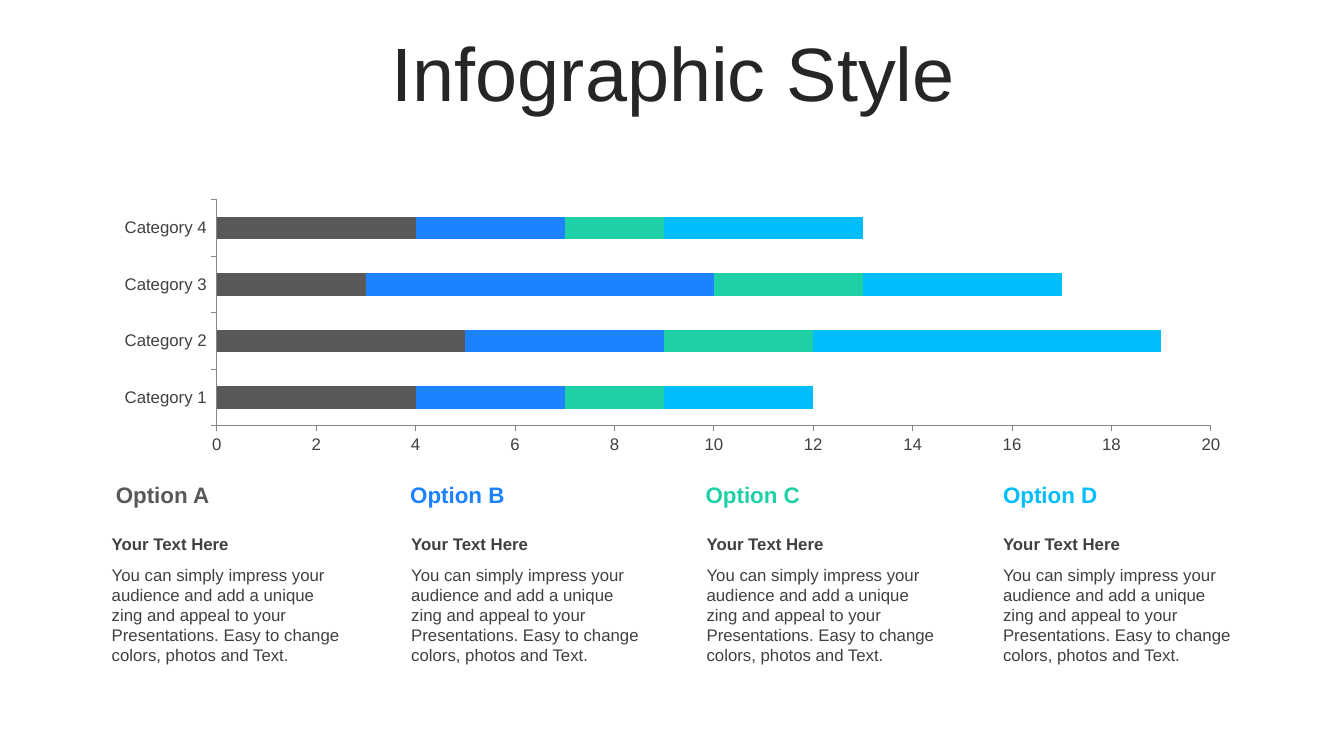
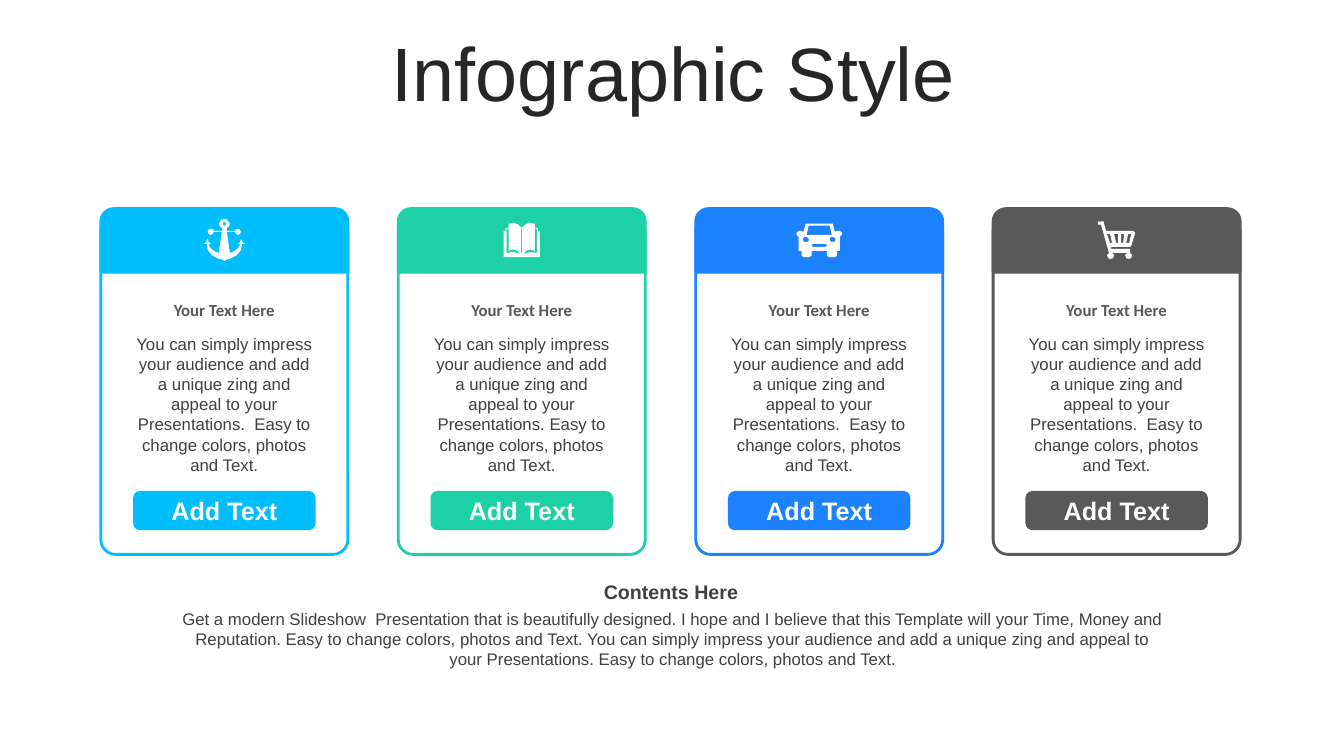
from pptx import Presentation
from pptx.chart.data import CategoryChartData
from pptx.dml.color import RGBColor
from pptx.enum.chart import XL_CHART_TYPE, XL_TICK_MARK
from pptx.enum.shapes import MSO_SHAPE
from pptx.enum.text import MSO_ANCHOR, MSO_AUTO_SIZE, PP_ALIGN
from pptx.util import Inches, Pt

GRAY = RGBColor(0x59, 0x59, 0x59)
BLUE = RGBColor(0x1C, 0x82, 0xFF)
GREEN = RGBColor(0x1E, 0xD0, 0xA6)
CYAN = RGBColor(0x00, 0xBD, 0xFB)
WHITE = RGBColor(0xFF, 0xFF, 0xFF)
TITLE_COLOR = RGBColor(0x26, 0x26, 0x26)
TEXT_COLOR = RGBColor(0x40, 0x40, 0x40)
AXIS_COLOR = RGBColor(0x86, 0x86, 0x86)
FONT = "Arial"

SUBHEAD = "Your Text Here"
PITCH = "You can simply impress your audience and add a unique zing and appeal to your Presentations."
CHANGE = "Easy to change colors, photos and Text."
CONTENTS = (
    "Get a modern Slideshow  Presentation that is beautifully designed. I hope and I believe "
    f"that this Template will your Time, Money and Reputation. {CHANGE} {PITCH} {CHANGE}"
)

CATEGORIES = ["Category 1", "Category 2", "Category 3", "Category 4"]
SERIES = [
    ("Series 1", (4, 5, 3, 4), GRAY),
    ("Series 2", (3, 4, 7, 3), BLUE),
    ("Series 3", (2, 3, 3, 2), GREEN),
    ("Series 4", (3, 7, 4, 4), CYAN),
]
OPTIONS = [
    ("Option A", GRAY, 1.05, 1.01),
    ("Option B", BLUE, 3.97, 3.98),
    ("Option C", GREEN, 6.9, 6.91),
    ("Option D", CYAN, 9.85, 9.85),
]


def flipped(points):
    return [(-x, y) for x, y in reversed(points)]


def symmetric(points):
    return points + flipped(points)


def both_sides(points):
    return [points, flipped(points)]


ANCHOR = [
    symmetric([
        (0, 0), (3, 1), (5.5, 5), (4.5, 7.5), (2.5, 9), (2.5, 12), (10.5, 12), (11.5, 10.5),
        (13.5, 10), (15.5, 11), (16.5, 13), (15.5, 15), (13.5, 16), (11.5, 15), (10.5, 13),
        (2.5, 13), (5.5, 34), (11, 31.5), (14.5, 28), (15.5, 25), (13.5, 25), (15.5, 23),
        (16.5, 20), (18, 23), (20.5, 25), (17.5, 25), (16.5, 31), (12, 36.5), (5, 40),
        (2, 40.5), (0, 42),
    ]),
    symmetric([(0, 3), (1.5, 4), (1.5, 6), (0, 7)]),
]
BOOK = [
    symmetric([
        (0, 5), (4, 1.5), (8, 0), (13, 1), (13, 5), (16, 5), (16, 8), (18, 8), (18, 34), (0, 34),
    ]),
    symmetric([(0, 6), (0.5, 6), (0.5, 30), (0, 30)]),
    *both_sides([
        (13, 6), (15, 6), (15, 30), (9, 29), (1, 31), (5, 27.5), (9, 26.5), (13, 28),
    ]),
]
CAR = [
    symmetric([
        (0, 0), (13.5, 0), (15.5, 8), (17.5, 7), (20.5, 7), (22.5, 9), (22.5, 11), (20.5, 13),
        (19.5, 13), (20.5, 14), (20.5, 27), (17.5, 27), (17.5, 31.5), (16, 33), (9.5, 33),
        (7.5, 31.5), (7.5, 27), (0, 27),
    ]),
    symmetric([(0, 2), (10.5, 2), (12.5, 11), (0, 11)]),
    symmetric([(0, 20), (6, 20), (7.5, 21), (7.5, 22), (6, 23), (0, 23)]),
    *both_sides([
        (12, 13), (14.5, 13), (16, 14.5), (16, 17), (14.5, 18), (12, 18), (10.5, 17), (10.5, 14.5),
    ]),
]
CART = [
    [
        (-18.5, 1), (-13, 0.5), (-10.5, 10), (16.5, 10), (18.5, 12), (14.5, 25), (13, 26),
        (-5.5, 26), (-5.5, 28), (13.5, 28), (13.5, 32), (15.5, 34), (14.5, 37), (12, 38),
        (9.5, 37), (8.5, 34), (10.5, 32), (-4.5, 32), (-2.5, 34), (-3.5, 37), (-6, 38),
        (-8.5, 37), (-9.5, 34), (-7.5, 32), (-15.5, 4), (-18.5, 4),
    ],
    [(11.5, 13), (9.5, 22), (12.5, 22), (14.5, 13)],
    [(4.5, 13), (4.5, 22), (6.5, 22), (7.5, 13)],
    [(-2.5, 13), (-0.5, 22), (1.5, 22), (1.5, 13)],
    [(-9.5, 13), (-6.5, 22), (-4.5, 22), (-6.5, 13)],
]
CARDS = [
    (CYAN, ANCHOR, 0.1, f"{PITCH}  {CHANGE}"),
    (GREEN, BOOK, 0.14, f"{PITCH} {CHANGE}"),
    (BLUE, CAR, 0.15, f"{PITCH}  {CHANGE}"),
    (GRAY, CART, 0.12, f"{PITCH}  {CHANGE}"),
]


def write(shape, text, size, color, bold=False, align=PP_ALIGN.LEFT, anchor=MSO_ANCHOR.TOP, font=FONT):
    frame = shape.text_frame
    frame.word_wrap = True
    frame.auto_size = MSO_AUTO_SIZE.NONE
    frame.vertical_anchor = anchor
    frame.text = text
    para = frame.paragraphs[0]
    para.alignment = align
    for span in para.runs:
        span.font.name = font
        span.font.size = Pt(size)
        span.font.bold = bold
        span.font.color.rgb = color
    return para


def add_text(page, left, top, width, height, text, size, color, **style):
    box = page.shapes.add_textbox(Inches(left), Inches(top), Inches(width), Inches(height))
    write(box, text, size, color, **style)


def add_panel(page, kind, left, top, width, height, fill, line=None):
    panel = page.shapes.add_shape(kind, Inches(left), Inches(top), Inches(width), Inches(height))
    panel.shadow.inherit = False
    panel.fill.solid()
    panel.fill.fore_color.rgb = fill
    if line is None:
        panel.line.fill.background()
    else:
        panel.line.color.rgb = line
        panel.line.width = Pt(2)
    return panel


def add_icon(page, center, top, contours):
    outlines = [[(x * 10, y * 10) for x, y in contour] for contour in contours]
    builder = page.shapes.build_freeform(*outlines[0][0], scale=Inches(1) / 1000)
    builder.add_line_segments(outlines[0][1:])
    for outline in outlines[1:]:
        builder.move_to(*outline[0])
        builder.add_line_segments(outline[1:])
    icon = builder.convert_to_shape(Inches(center), Inches(top))
    icon.shadow.inherit = False
    icon.fill.solid()
    icon.fill.fore_color.rgb = WHITE
    icon.line.fill.background()


def add_page(deck, heading):
    page = deck.slides.add_slide(deck.slide_layouts[5])
    title = page.shapes.title
    title.left, title.top = Inches(0.35), Inches(0.37)
    title.width, title.height = Inches(12.66), Inches(0.79)
    para = write(title, heading, 54, TITLE_COLOR, align=PP_ALIGN.CENTER, anchor=MSO_ANCHOR.MIDDLE)
    para.line_spacing = 0.9
    para.space_before = Pt(10)
    return page


def style_axis(axis):
    axis.has_major_gridlines = False
    axis.major_tick_mark = XL_TICK_MARK.OUTSIDE
    axis.minor_tick_mark = XL_TICK_MARK.NONE
    axis.format.line.color.rgb = AXIS_COLOR
    axis.tick_labels.font.name = FONT
    axis.tick_labels.font.size = Pt(12)
    axis.tick_labels.font.color.rgb = TEXT_COLOR


def add_stacked_bars(page, left, top, width, height):
    data = CategoryChartData()
    data.categories = CATEGORIES
    for name, values, _ in SERIES:
        data.add_series(name, values)
    chart = page.shapes.add_chart(
        XL_CHART_TYPE.BAR_STACKED, Inches(left), Inches(top), Inches(width), Inches(height), data
    ).chart
    chart.has_legend = False
    chart.has_title = False
    chart.font.name = FONT
    chart.font.size = Pt(18)
    style_axis(chart.category_axis)
    style_axis(chart.value_axis)
    chart.value_axis.minimum_scale = 0
    chart.value_axis.maximum_scale = 20
    chart.value_axis.major_unit = 2
    plot = chart.plots[0]
    plot.gap_width = 150
    plot.overlap = 100
    plot.vary_by_categories = False
    for series, (_, _, color) in zip(plot.series, SERIES):
        series.format.fill.solid()
        series.format.fill.fore_color.rgb = color


def add_option(page, name, color, heading_left, left, top):
    add_text(page, heading_left, top, 2.52, 0.37, name, 16, color, bold=True)
    add_text(page, left, top + 0.53, 2.52, 0.3, SUBHEAD, 12, TEXT_COLOR, bold=True)
    add_text(page, left, top + 0.83, 2.54, 1.11, f"{PITCH} {CHANGE}", 12, TEXT_COLOR)


def add_card(page, left, top, color, icon, icon_top, body):
    width = 2.45
    centered = {"align": PP_ALIGN.CENTER}
    frame = add_panel(page, MSO_SHAPE.ROUNDED_RECTANGLE, left, top + 0.08, width, 3.35, WHITE, color)
    frame.adjustments[0] = 0.06
    band = add_panel(page, MSO_SHAPE.ROUND_2_SAME_RECTANGLE, left, top, width, 0.63, color, color)
    band.adjustments[0] = 0.2
    add_icon(page, left + width / 2, top + icon_top, icon)
    add_text(page, left + 0.21, top + 0.85, 2.03, 0.3, SUBHEAD, 12, GRAY, bold=True, font="Calibri", **centered)
    add_text(page, left + 0.21, top + 1.19, 2.03, 1.51, body, 12, TEXT_COLOR, **centered)
    button = add_panel(page, MSO_SHAPE.ROUNDED_RECTANGLE, left + 0.32, top + 2.8, 1.81, 0.39, color)
    button.adjustments[0] = 0.18
    write(button, "Add Text", 18, WHITE, bold=True, anchor=MSO_ANCHOR.MIDDLE, **centered)


def add_contents(page, left, top, width):
    add_text(page, left, top, width, 0.34, "Contents Here", 14, TEXT_COLOR, bold=True,
             align=PP_ALIGN.CENTER, anchor=MSO_ANCHOR.MIDDLE)
    add_text(page, left + 0.02, top + 0.29, width, 0.71, CONTENTS, 12, TEXT_COLOR, align=PP_ALIGN.CENTER)


def build_chart_page(deck):
    page = add_page(deck, "Infographic Style")
    add_stacked_bars(page, 1.01, 1.93, 11.32, 2.62)
    for option in OPTIONS:
        add_option(page, *option, 4.72)


def build_cards_page(deck):
    page = add_page(deck, "Infographic Style")
    for index, card in enumerate(CARDS):
        add_card(page, 1 + 2.95 * index, 2.07, *card)
    add_contents(page, 1.66, 5.7, 9.99)


def main():
    deck = Presentation()
    deck.slide_width, deck.slide_height = Inches(13.33), Inches(7.5)
    build_chart_page(deck)
    build_cards_page(deck)
    deck.save("out.pptx")


if __name__ == "__main__":
    main()
